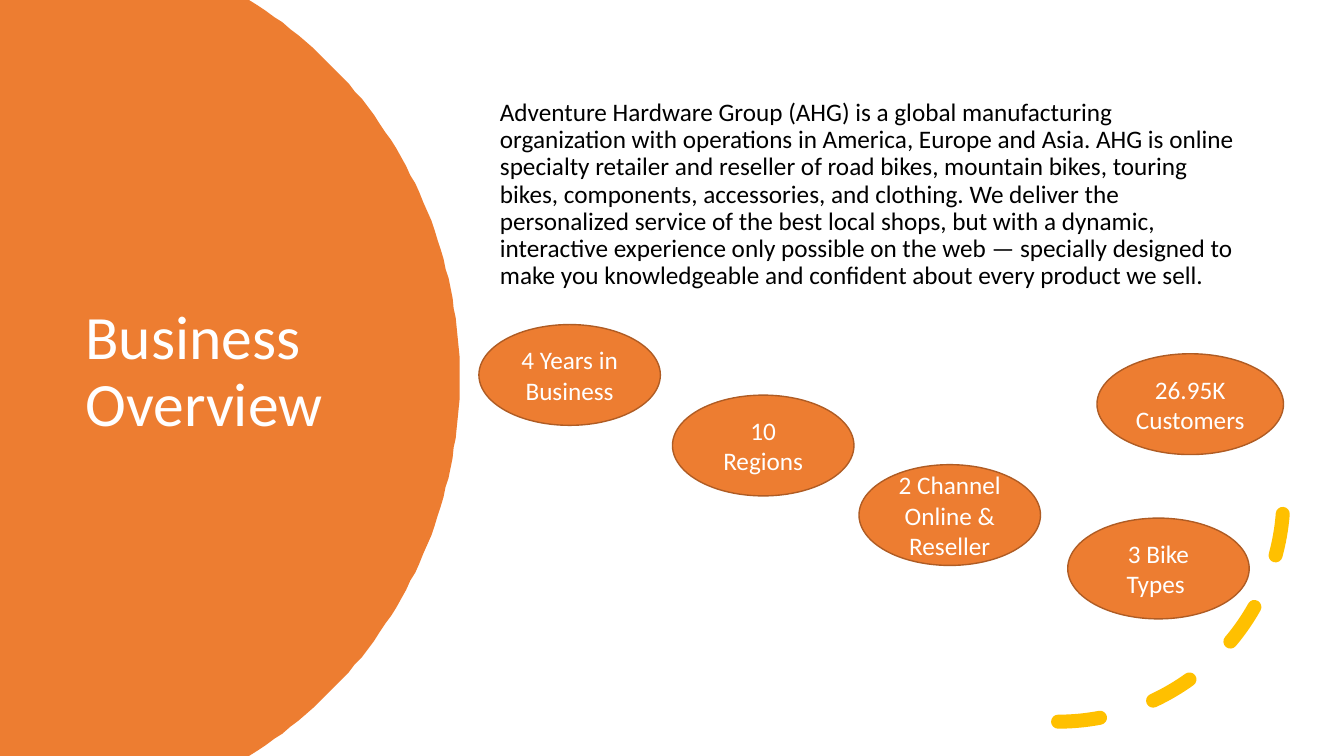
"""Build the Business Overview slide."""
from dataclasses import dataclass
from math import asin, cos, sin

from lxml.etree import SubElement
from pptx import Presentation
from pptx.dml.color import RGBColor
from pptx.enum.dml import MSO_LINE_DASH_STYLE as Dash
from pptx.enum.shapes import MSO_AUTO_SHAPE_TYPE as Preset
from pptx.enum.text import MSO_ANCHOR as Anchor, PP_ALIGN as Align
from pptx.util import Pt

TITLE = "Business Overview"
TITLE_BOX = (75, 126, 350, 488)
BODY = (
    "Adventure Hardware Group (AHG) is a global manufacturing organization with "
    "operations in America, Europe and Asia. AHG is online specialty retailer and "
    "reseller of road bikes, mountain bikes, touring bikes, components, accessories, "
    "and clothing. We deliver the personalized service of the best local shops, but "
    "with a dynamic, interactive experience only possible on the web — specially "
    "designed to make you knowledgeable and confident about every product we sell."
)
BODY_BOX = (486, 65, 755, 257)
FACTS = [
    (["4 Years in Business"], 475, 322, 180),
    (["10 Regions"], 667, 392, 180),
    (["2 Channel", "Online &", "Reseller"], 852, 461, 180),
    (["3 Bike Types "], 1059, 514, 180),
    (["26.95K", "Customers"], 1088, 351, 185),
]
FACT_HEIGHT = 100
ARC_BOX = (826, 269, 447, 447)
DISC_CENTER_X, DISC_RADIUS, DISC_STEPS = 15, 441, 90
SLIDE_WIDTH, SLIDE_HEIGHT = 1333, 750
EMU_PER_PX = 9144


@dataclass(frozen=True)
class Theme:
    orange: str = "ED7D31"
    outline: str = "AF5C24"
    yellow: str = "FFC000"
    white: str = "FFFFFF"
    black: str = "000000"
    font: str = "Calibri"
    title_size: int = 44
    text_size: int = 18
    outline_width: int = 1
    arc_width: int = 10


THEME = Theme()


def px(*lengths):
    return [length * EMU_PER_PX for length in lengths]


def paint(shape, fill=None, line=None, width=THEME.outline_width):
    shape.shadow.inherit = False
    if fill:
        shape.fill.solid()
        shape.fill.fore_color.rgb = RGBColor.from_string(fill)
    else:
        shape.fill.background()
    if line:
        shape.line.color.rgb = RGBColor.from_string(line)
        shape.line.width = Pt(width)
    else:
        shape.line.fill.background()


def write(shape, lines, size=THEME.text_size, color=THEME.white,
          align=Align.LEFT, spacing=1.0, after=0):
    frame = shape.text_frame
    frame.word_wrap = True
    frame.vertical_anchor = Anchor.MIDDLE
    for index, line in enumerate(lines):
        paragraph = frame.add_paragraph() if index else frame.paragraphs[0]
        paragraph.alignment = align
        paragraph.line_spacing = spacing
        paragraph.space_after = Pt(after)
        run = paragraph.add_run()
        run.text = line
        run.font.name = THEME.font
        run.font.size = Pt(size)
        run.font.color.rgb = RGBColor.from_string(color)


def add_disc(slide):
    middle = SLIDE_HEIGHT / 2
    reach = asin(middle / DISC_RADIUS)
    angles = [reach * (2 * step / DISC_STEPS - 1) for step in range(DISC_STEPS + 1)]
    edge = [(DISC_CENTER_X + DISC_RADIUS * cos(angle), middle + DISC_RADIUS * sin(angle))
            for angle in angles]
    builder = slide.shapes.build_freeform(0, 0, scale=EMU_PER_PX)
    builder.add_line_segments(edge + [(0, SLIDE_HEIGHT)], close=True)
    paint(builder.convert_to_shape(), fill=THEME.orange)


def add_dashed_arc(slide):
    arc = slide.shapes.add_shape(Preset.ARC, *px(*ARC_BOX))
    paint(arc, line=THEME.yellow, width=THEME.arc_width)
    arc.line.dash_style = Dash.DASH
    properties = arc.element.spPr
    properties.xfrm.set("flipV", "1")
    outline = properties.ln
    outline.set("cap", "rnd")
    SubElement(outline, outline.tag[:-2] + "round")


def main():
    presentation = Presentation()
    presentation.slide_width, presentation.slide_height = px(SLIDE_WIDTH, SLIDE_HEIGHT)
    slide = presentation.slides.add_slide(presentation.slide_layouts[6])
    add_disc(slide)
    title = slide.shapes.add_textbox(*px(*TITLE_BOX))
    write(title, [TITLE], size=THEME.title_size, spacing=0.9)
    add_dashed_arc(slide)
    body = slide.shapes.add_textbox(*px(*BODY_BOX))
    write(body, [BODY], color=THEME.black, spacing=0.9, after=6)
    for lines, left, top, width in FACTS:
        fact = slide.shapes.add_shape(Preset.OVAL, *px(left, top, width, FACT_HEIGHT))
        paint(fact, fill=THEME.orange, line=THEME.outline)
        write(fact, lines, align=Align.CENTER)
    presentation.save("out.pptx")


if __name__ == "__main__":
    main()
